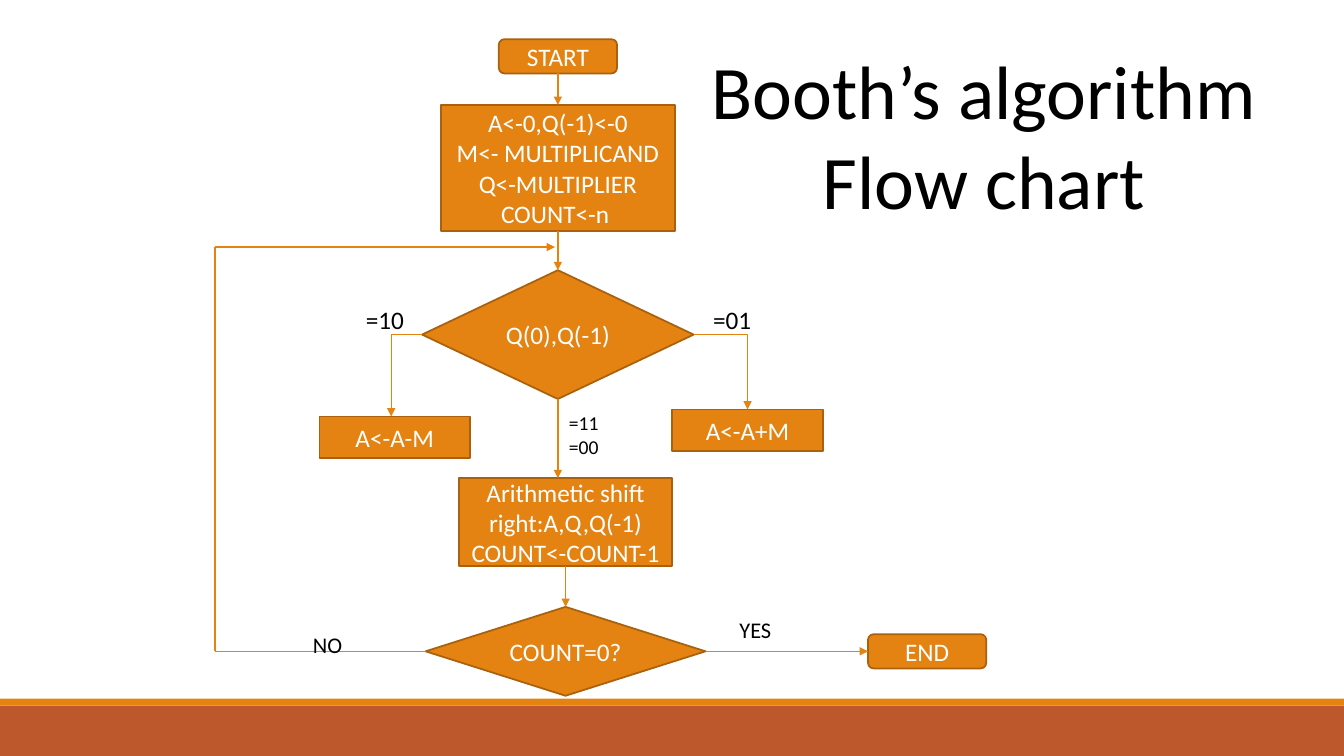
import pptx
import pptx.dml.color
import pptx.enum.shapes
import pptx.enum.text
import pptx.oxml
import pptx.oxml.ns
import pptx.util

Pt = pptx.util.Pt
SHAPE = pptx.enum.shapes.MSO_SHAPE
CONNECTOR = pptx.enum.shapes.MSO_CONNECTOR
CENTER = pptx.enum.text.PP_ALIGN.CENTER
TOP, LEFT, BOTTOM, RIGHT = range(4)

THEME = {
    "font": "Calibri",
    "fill": "E48312",
    "outline": "A9610D",
    "band": "BD582C",
    "node_text": "FFFFFF",
    "text": "000000",
    "title_size": 54,
    "node_size": 18,
    "outline_width": 1.25,
    "arrow_width": 1,
}

SLIDE_WIDTH, SLIDE_HEIGHT = 960, 540
TITLE = ["Booth’s algorithm", "Flow chart"]
TITLE_BOX = (499, 27.5, 407.5, 138)

# top, height, colour
BANDS = [(504, 36, "band"), (499, 5, "fill")]

UPPER_AXIS, LOWER_AXIS = 398.5, 404
TERMINAL = SHAPE.FLOWCHART_ALTERNATE_PROCESS
PROCESS = SHAPE.FLOWCHART_PROCESS
DECISION = SHAPE.FLOWCHART_DECISION

# name: kind, centre, top, width, height, lines
NODES = {
    "setup": (PROCESS, UPPER_AXIS, 75, 167, 90,
              ["A<-0,Q(-1)<-0", "M<- MULTIPLICAND", "Q<-MULTIPLIER", "COUNT<-n "]),
    "bits": (DECISION, UPPER_AXIS, 193, 194, 92, ["Q(0),Q(-1)"]),
    "subtract": (PROCESS, 282, 297.5, 107.5, 29.5, ["A<-A-M"]),
    "add": (PROCESS, 534, 292.5, 107.5, 29.5, ["A<-A+M"]),
    "shift": (PROCESS, LOWER_AXIS, 341.5, 152.5, 63,
              ["Arithmetic shift right:A,Q,Q(-1) COUNT<-COUNT-1"]),
    "count": (DECISION, LOWER_AXIS, 433.5, 200, 63.5, ["COUNT=0?"]),
    "start": (TERMINAL, UPPER_AXIS, 28, 84.5, 24.5, ["START"]),
    "end": (TERMINAL, 662.25, 453, 84.5, 24.5, ["END"]),
}

LOOP_LEFT, LOOP_TOP, LOOP_BOTTOM = 153.5, 176.5, 465.25

# kind, from, to, arrowhead; an end is (node, side) or (x, y)
STRAIGHT, ELBOW = CONNECTOR.STRAIGHT, CONNECTOR.ELBOW
LINKS = [
    (STRAIGHT, ("start", BOTTOM), ("setup", TOP), True),
    (STRAIGHT, ("setup", BOTTOM), ("bits", TOP), True),
    (ELBOW, ("bits", LEFT), (279.5, 297.5), True),
    (ELBOW, ("bits", RIGHT), ("add", TOP), True),
    (STRAIGHT, ("bits", BOTTOM), (UPPER_AXIS, 341.5), True),
    (STRAIGHT, ("shift", BOTTOM), ("count", TOP), True),
    (STRAIGHT, ("count", RIGHT), ("end", LEFT), True),
    (STRAIGHT, ("count", LEFT), (LOOP_LEFT, LOOP_BOTTOM), False),
    (STRAIGHT, (LOOP_LEFT, LOOP_BOTTOM), (LOOP_LEFT, LOOP_TOP), False),
    (STRAIGHT, (LOOP_LEFT, LOOP_TOP), (UPPER_AXIS - 2, LOOP_TOP), True),
]

# centre, top, width, height, size, lines
LABELS = [
    (275, 214, 42, 29, 18, ["=10"]),
    (523, 214, 51, 29, 18, ["=01"]),
    (417, 290, 68, 41, 14, ["=11", "=00"]),
    (234, 447, 36, 26.5, 16, ["NO"]),
    (539.5, 436.5, 214, 26.5, 16, ["YES"]),
]


def color(name):
    return pptx.dml.color.RGBColor.from_string(THEME[name])


def points(*lengths):
    return [Pt(length) for length in lengths]


def write(shape, lines, size, color_name):
    frame = shape.text_frame
    frame.text = "\n".join(lines)
    for paragraph in frame.paragraphs:
        paragraph.alignment = CENTER
        paragraph.font.name = THEME["font"]
        paragraph.font.size = Pt(size)
        paragraph.font.color.rgb = color(color_name)


def add_filled(slide, kind, box, fill):
    shape = slide.shapes.add_shape(kind, *points(*box))
    shape.shadow.inherit = False
    shape.fill.solid()
    shape.fill.fore_color.rgb = color(fill)
    return shape


def add_title(slide):
    title = slide.shapes.title
    title.left, title.top, title.width, title.height = points(*TITLE_BOX)
    write(title, TITLE, THEME["title_size"], "text")
    title.text_frame.word_wrap = False
    title.text_frame.auto_size = pptx.enum.text.MSO_AUTO_SIZE.NONE
    title.text_frame.vertical_anchor = pptx.enum.text.MSO_ANCHOR.TOP


def add_node(slide, kind, center, top, width, height, lines):
    shape = add_filled(slide, kind, (center - width / 2, top, width, height), "fill")
    shape.line.color.rgb = color("outline")
    shape.line.width = Pt(THEME["outline_width"])
    write(shape, lines, THEME["node_size"], "node_text")
    return shape


def add_label(slide, center, top, width, height, size, lines):
    label = slide.shapes.add_textbox(*points(center - width / 2, top, width, height))
    label.text_frame.word_wrap = False
    write(label, lines, size, "text")


def end_point(end):
    """Give the x and y of a link's end, at a node's side or free."""
    if end[0] not in NODES:
        return end
    name, side = end
    center, top, width, height = NODES[name][1:5]
    across = {LEFT: -width / 2, RIGHT: width / 2}.get(side, 0)
    down = {TOP: 0, BOTTOM: height}.get(side, height / 2)
    return center + across, top + down


def add_link(slide, shapes, kind, start, end, has_arrow):
    link = slide.shapes.add_connector(kind, *points(*end_point(start), *end_point(end)))
    if start[0] in shapes:
        link.begin_connect(shapes[start[0]], start[1])
    if end[0] in shapes:
        link.end_connect(shapes[end[0]], end[1])
    link.line.color.rgb = color("fill")
    link.line.width = Pt(THEME["arrow_width"])
    properties = link._element.spPr
    if kind == ELBOW:  # one bend instead of two
        properties.find(pptx.oxml.ns.qn("a:prstGeom")).set("prst", "bentConnector2")
    if has_arrow:
        namespace = pptx.oxml.ns.nsdecls("a")
        link.line._get_or_add_ln().append(
            pptx.oxml.parse_xml(f'<a:tailEnd {namespace} type="triangle"/>'))
    properties.append(properties.makeelement(pptx.oxml.ns.qn("a:effectLst"), {}))


def main():
    presentation = pptx.Presentation()
    presentation.slide_width, presentation.slide_height = points(SLIDE_WIDTH, SLIDE_HEIGHT)
    slide = presentation.slides.add_slide(presentation.slide_layouts.get_by_name("Title Only"))
    for top, height, fill in BANDS:
        band = add_filled(slide, SHAPE.RECTANGLE, (0, top, SLIDE_WIDTH, height), fill)
        band.line.fill.background()
    add_title(slide)
    shapes = {name: add_node(slide, *node) for name, node in NODES.items()}
    for link in LINKS:
        add_link(slide, shapes, *link)
    for label in LABELS:
        add_label(slide, *label)
    presentation.save("out.pptx")


if __name__ == "__main__":
    main()
